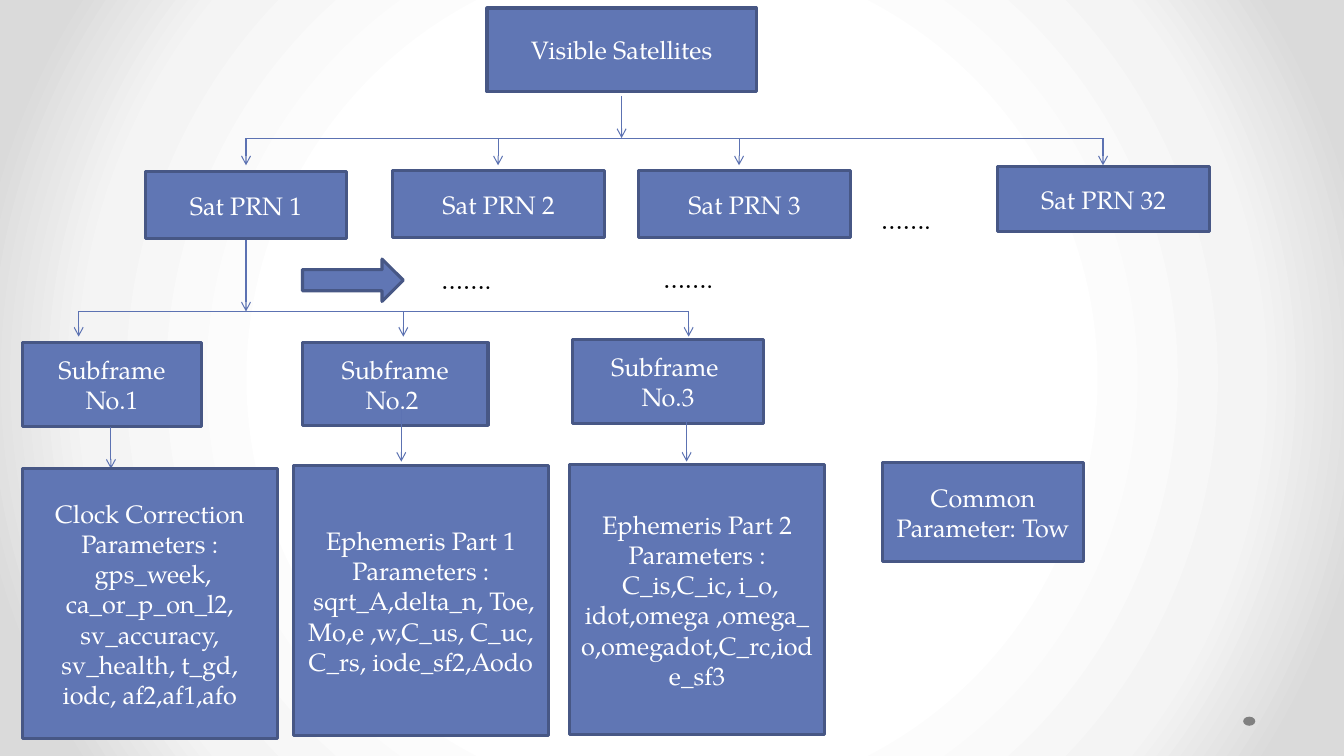
from collections import namedtuple

from lxml.etree import SubElement
from pptx import Presentation
from pptx.dml.color import RGBColor
from pptx.enum.shapes import MSO_CONNECTOR, MSO_SHAPE
from pptx.enum.text import MSO_ANCHOR, MSO_AUTO_SIZE, PP_ALIGN
from pptx.oxml.ns import qn
from pptx.util import Inches, Pt

COLOURS = {"fill": "6076B4", "border": "475785", "line": "5C72B2", "light": "FFFFFF",
           "dark": "000000", "dot": "808080"}
BACKDROP = [(50, "FFFFFF"), (76, "F4F4F4"), (92, "DADADA")]
FONT = "TeX Gyre Pagella"
DOTS = "\u2026\u2026."

Box = namedtuple("Box", "left top width height")


def colour(name):
    """Return the named colour."""
    return RGBColor.from_string(COLOURS[name])


def inside(box, left, top, width, height):
    """Return a box whose corner is offset from the corner of another."""
    return Box(box.left + left, box.top + top, width, height)


def write(shape, text, ink, align):
    """Put text into a shape and format every run."""
    frame = shape.text_frame
    frame.text = text
    frame.word_wrap = True
    for para in frame.paragraphs:
        para.alignment = align
        for span in para.runs:
            span.font.size = Pt(18)
            span.font.name = FONT
            span.font.color.rgb = colour(ink)


def paint(shape):
    """Give a shape the blue fill and dark border."""
    shape.fill.solid()
    shape.fill.fore_color.rgb = colour("fill")
    shape.line.color.rgb = colour("border")
    shape.line.width = Pt(2.25)


def add_block(page, box, kind=MSO_SHAPE.RECTANGLE, text=""):
    """Add a blue shape with centred text."""
    shape = page.shapes.add_shape(kind, *map(Inches, box))
    shape.shadow.inherit = False
    paint(shape)
    if text:
        write(shape, text, "light", PP_ALIGN.CENTER)
        shape.text_frame.vertical_anchor = MSO_ANCHOR.MIDDLE


def add_dots(page, box):
    """Add a text box holding an ellipsis."""
    shape = page.shapes.add_textbox(*map(Inches, box))
    write(shape, DOTS, "dark", PP_ALIGN.LEFT)


def add_line(page, start, end, arrow=True):
    """Draw a thin straight line, with an arrowhead at its end if wanted."""
    line = page.shapes.add_connector(MSO_CONNECTOR.STRAIGHT, *map(Inches, start + end))
    line.line.color.rgb = colour("line")
    line.line.width = Pt(0.75)
    if arrow:
        SubElement(line.line._get_or_add_ln(), qn("a:tailEnd"), type="arrow")
    SubElement(line._element.spPr, qn("a:effectLst"))


def add_branches(page, top, drop, stops):
    """Draw a horizontal rail with an arrow down at every stop."""
    add_line(page, (stops[-1], top), (stops[0], top), arrow=False)
    for stop in stops:
        add_line(page, (stop, top), (stop, top + drop))


def add_backdrop(page):
    """Fill the background with a circular gradient."""
    page.background.fill.gradient()
    gradient = page.element.find(".//" + qn("a:gradFill"))
    for child in list(gradient):
        gradient.remove(child)
    stops = SubElement(gradient, qn("a:gsLst"))
    for position, value in BACKDROP:
        stop = SubElement(stops, qn("a:gs"), pos=str(position * 1000))
        SubElement(stop, qn("a:srgbClr"), val=value)
    circle = SubElement(gradient, qn("a:path"), path="circle")
    SubElement(circle, qn("a:fillToRect"), l="50000", t="50000", r="50000", b="50000")


def add_root(page, box):
    """Place the title block and the arrow below it."""
    title = page.shapes.title
    title.left, title.top, title.width, title.height = map(Inches, box)
    paint(title)
    write(title, "Visible Satellites", "light", PP_ALIGN.CENTER)
    title.text_frame.auto_size = MSO_AUTO_SIZE.NONE
    title.text_frame.vertical_anchor = MSO_ANCHOR.MIDDLE
    middle = box.left + box.width / 2
    bottom = box.top + box.height
    add_line(page, (middle, bottom + 0.04), (middle, bottom + 0.46))


def add_satellites(page, box):
    """Place the row of satellites below its rail."""
    satellites = [(1, 0, 0.33, 2, 0.67), (2, 2.45, 0.32, 2.11, 0.67),
                  (3, 4.89, 0.32, 2.11, 0.67), (32, 8.45, 0.28, 2.11, 0.65)]
    for number, *place in satellites:
        add_block(page, inside(box, *place), text=f"Sat PRN {number}")
    add_branches(page, box.top, 0.27, [box.left + x for x in (1, 3.5, 5.89, 9.5)])
    for left, top in [(7.2, 0.61), (2.84, 1.2), (5.04, 1.19)]:
        add_dots(page, inside(box, left, top, 1.78, 0.4))
    add_block(page, inside(box, 1.56, 1.2, 1, 0.42), MSO_SHAPE.RIGHT_ARROW)
    add_line(page, (box.left + 1, box.top + 1.01), (box.left + 1, box.top + 1.72))


def add_subframes(page, box):
    """Place the subframes, their parameters and the arrows between them."""
    subframes = [
        ("Subframe No.1", (0, 0.31, 1.78, 0.83), 0.88, (1.15, 1.56), (0, 1.56),
         "Clock Correction\nParameters :\n gps_week, ca_or_p_on_l2, "
         "sv_accuracy, sv_health, t_gd, iodc, af2,af1,afo"),
        ("Subframe No.2 ", (2.78, 0.31, 1.84, 0.82), 3.76, (0.97, 1.49), (2.69, 1.53),
         "Ephemeris Part 1\nParameters :\n sqrt_A,delta_n, Toe, Mo,e ,w,"
         "C_us, C_uc, C_rs, iode_sf2,Aodo"),
        ("Subframe \nNo.3", (5.46, 0.28, 1.89, 0.83), 6.59, (1.08, 1.49), (5.43, 1.52),
         "Ephemeris Part 2\nParameters :\n C_is,C_ic, i_o, idot,omega ,"
         "omega_o,omegadot,C_rc,iode_sf3"),
    ]
    add_branches(page, box.top, 0.25, [box.left + x for x in (0.56, 3.78, 6.61)])
    for name, place, middle, ends, corner, parameters in subframes:
        add_block(page, inside(box, *place), text=name)
        start, end = [(box.left + middle, box.top + y) for y in ends]
        add_line(page, start, end)
        add_block(page, inside(box, *corner, 2.53, 2.68), text=parameters)
    add_block(page, inside(box, 8.53, 1.5, 2, 0.98), text="Common Parameter: Tow")


def add_dot(page, box):
    """Place the small grey dot in the corner."""
    dot = page.shapes.add_shape(MSO_SHAPE.OVAL, *map(Inches, box))
    dot.shadow.inherit = False
    dot.fill.solid()
    dot.fill.fore_color.rgb = colour("dot")
    dot.line.fill.background()


deck = Presentation()
deck.slide_width = Inches(13.33)
deck.slide_height = Inches(7.5)
page = deck.slides.add_slide(deck.slide_layouts[5])
add_backdrop(page)
add_dot(page, Box(12.33, 7.11, 0.12, 0.09))
add_root(page, Box(4.83, 0.08, 2.67, 0.83))
add_satellites(page, Box(1.44, 1.37, 10.56, 1.72))
add_subframes(page, Box(0.22, 3.09, 10.53, 4.24))
deck.save("out.pptx")
